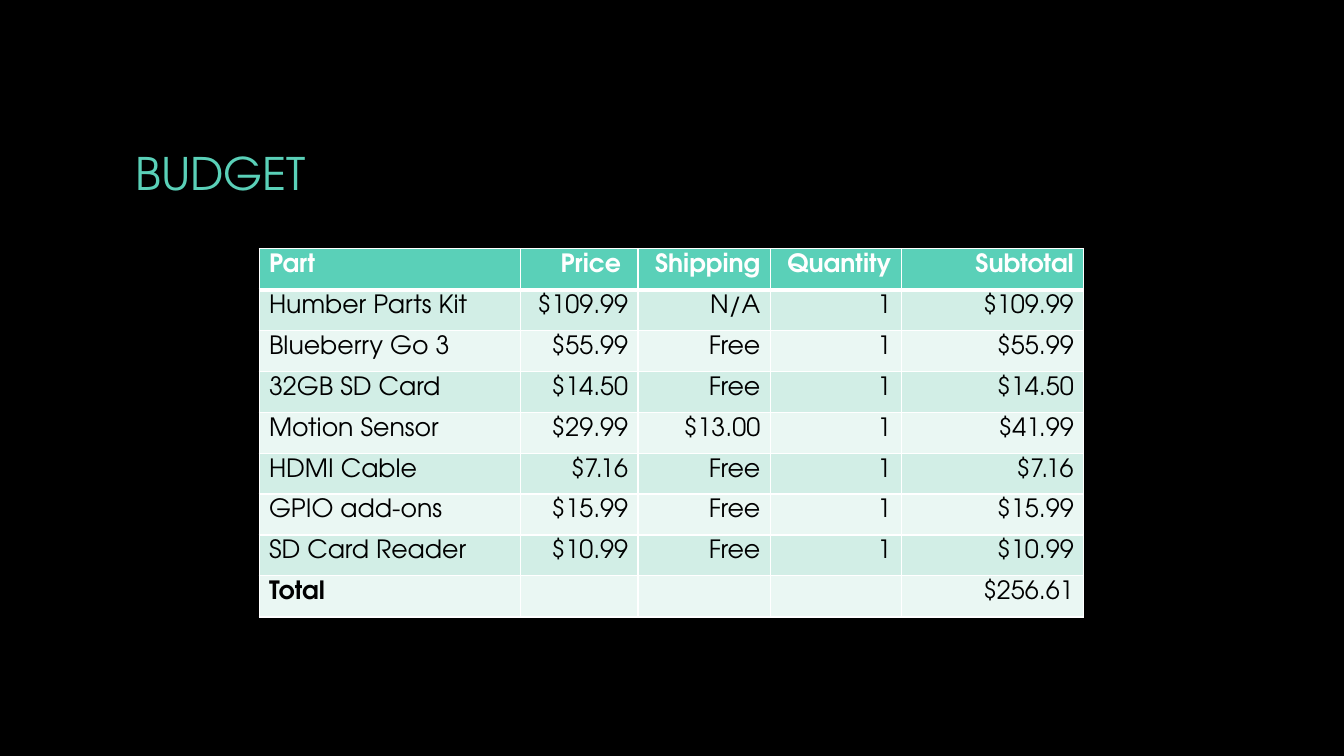
from pptx import Presentation
from pptx.dml.color import RGBColor
from pptx.enum.text import MSO_ANCHOR, PP_ALIGN
from pptx.oxml import parse_xml
from pptx.oxml.ns import nsdecls
from pptx.util import Cm, Pt

FONT = "TeX Gyre Adventor"
COLORS = {
    "back": "000000",
    "teal": "5AD0B8",
    "dark": "D2EEE6",
    "light": "EAF7F3",
    "white": "FFFFFF",
    "black": "000000",
}
WIDTHS = [6.58, 2.97, 3.33, 3.3, 4.6]
ROWS = [
    ["Part", "Price ", "Shipping", "Quantity", "Subtotal"],
    ["Humber Parts Kit", "$109.99", "N/A", "1", "$109.99"],
    ["Blueberry Go 3", "$55.99", "Free", "1", "$55.99"],
    ["32GB SD Card", "$14.50", "Free", "1", "$14.50"],
    ["Motion Sensor", "$29.99", "$13.00", "1", "$41.99"],
    ["HDMI Cable", "$7.16", "Free", "1", "$7.16"],
    ["GPIO add-ons", "$15.99", "Free", "1", "$15.99"],
    ["SD Card Reader", "$10.99", "Free", "1", "$10.99"],
    ["Total", "", "", "", "$256.61"],
]


def color(name):
    return RGBColor.from_string(COLORS[name])


def add_run(para, text, size, tint, bold=False):
    run = para.add_run()
    run.text = text
    run.font.name = FONT
    run.font.size = Pt(size)
    run.font.bold = bold
    run.font.color.rgb = color(tint)


def add_title(slide, text, left, top, width, height):
    title = slide.shapes.title
    title.left, title.top = Cm(left), Cm(top)
    title.width, title.height = Cm(width), Cm(height)
    frame = title.text_frame
    frame.word_wrap = True
    frame.vertical_anchor = MSO_ANCHOR.MIDDLE
    para = frame.paragraphs[0]
    para.alignment = PP_ALIGN.LEFT
    add_run(para, text, 32, "teal")


def set_edges(cell, top, bottom):
    """Draw white cell borders; top and bottom are widths in points."""
    props = cell._tc.get_or_add_tcPr()
    sides = [("L", 1), ("R", 1), ("T", top), ("B", bottom)]
    for at, (side, width) in enumerate(sides):
        props.insert(at, parse_xml(
            f'<a:ln{side} {nsdecls("a")} w="{Pt(width)}"><a:solidFill>'
            f'<a:srgbClr val="{COLORS["white"]}"/></a:solidFill></a:ln{side}>'))


def add_budget(slide, left, top, height):
    frame = slide.shapes.add_table(
        len(ROWS), len(WIDTHS), Cm(left), Cm(top), Cm(sum(WIDTHS)), Cm(height))
    table = frame.table
    for col, width in zip(table.columns, WIDTHS):
        col.width = Cm(width)
    for r, row in enumerate(ROWS):
        table.rows[r].height = Cm(height / len(ROWS))
        head = r == 0
        fill = "teal" if head else "dark" if r % 2 else "light"
        for c, text in enumerate(row):
            cell = table.cell(r, c)
            cell.fill.solid()
            cell.fill.fore_color.rgb = color(fill)
            cell.margin_left = cell.margin_right = Cm(0.25)
            cell.margin_top = cell.margin_bottom = Cm(0.13)
            set_edges(cell, 3 if r == 1 else 1, 3 if head else 1)
            if text:
                para = cell.text_frame.paragraphs[0]
                para.alignment = PP_ALIGN.RIGHT if c else PP_ALIGN.LEFT
                add_run(para, text, 18, "white" if head else "black",
                        head or text == "Total")


def main():
    deck = Presentation()
    deck.slide_width, deck.slide_height = Cm(33.87), Cm(19.05)
    slide = deck.slides.add_slide(deck.slide_layouts[5])
    slide.background.fill.solid()
    slide.background.fill.fore_color.rgb = color("back")
    add_title(slide, "BUDGET", 3.16, 1.7, 27.51, 5.28)
    add_budget(slide, 6.53, 6.27, 9.27)
    deck.save("out.pptx")


if __name__ == "__main__":
    main()
